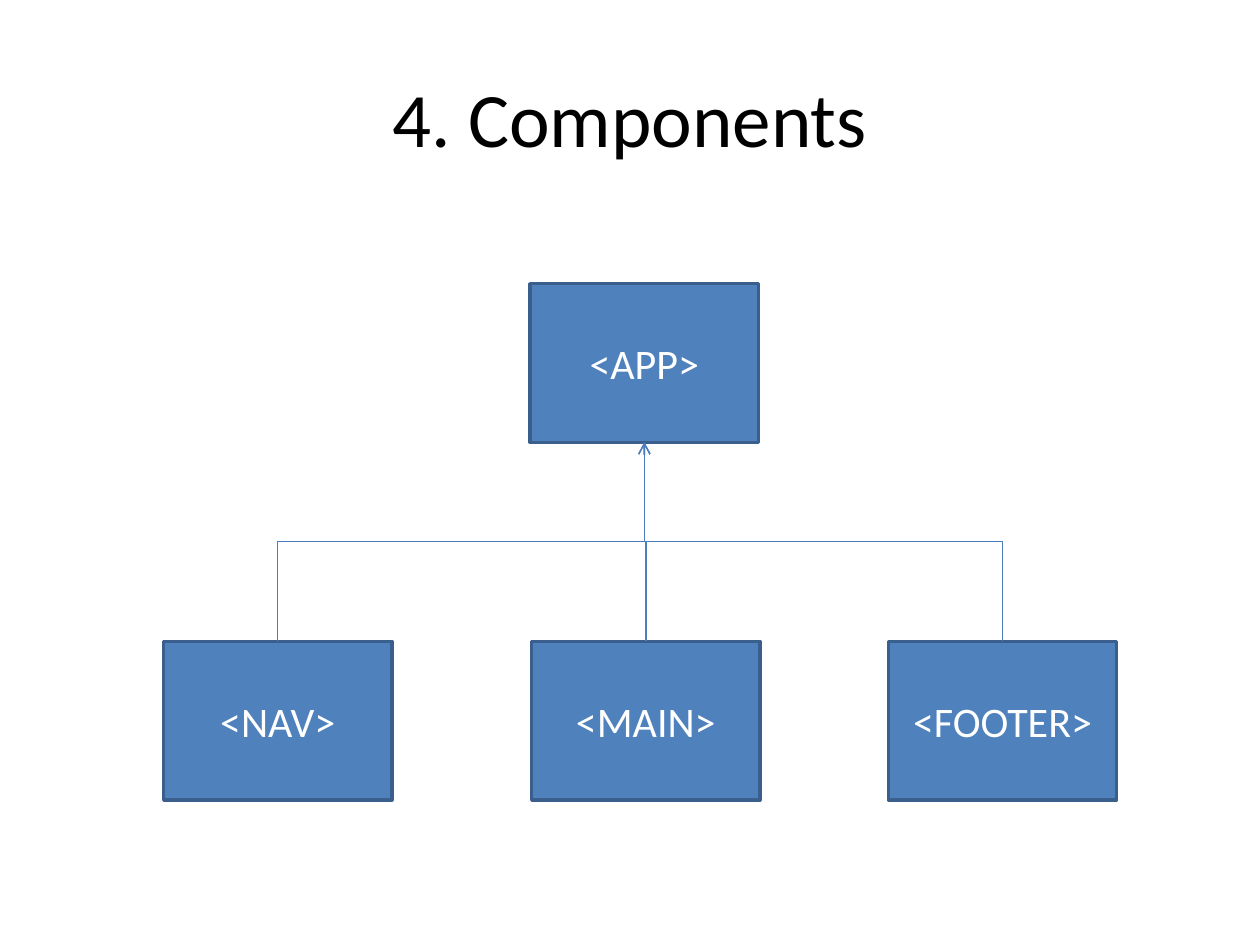
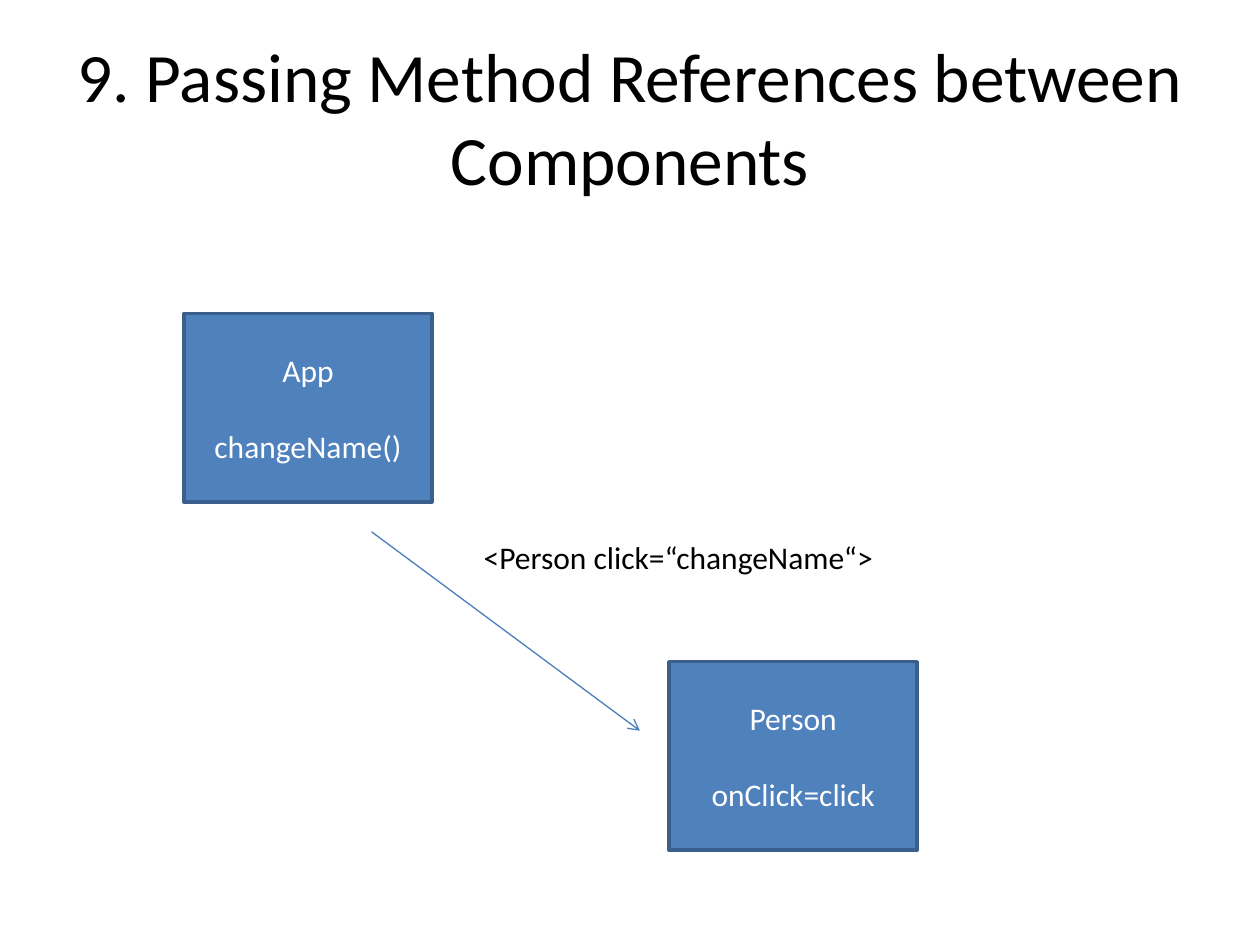
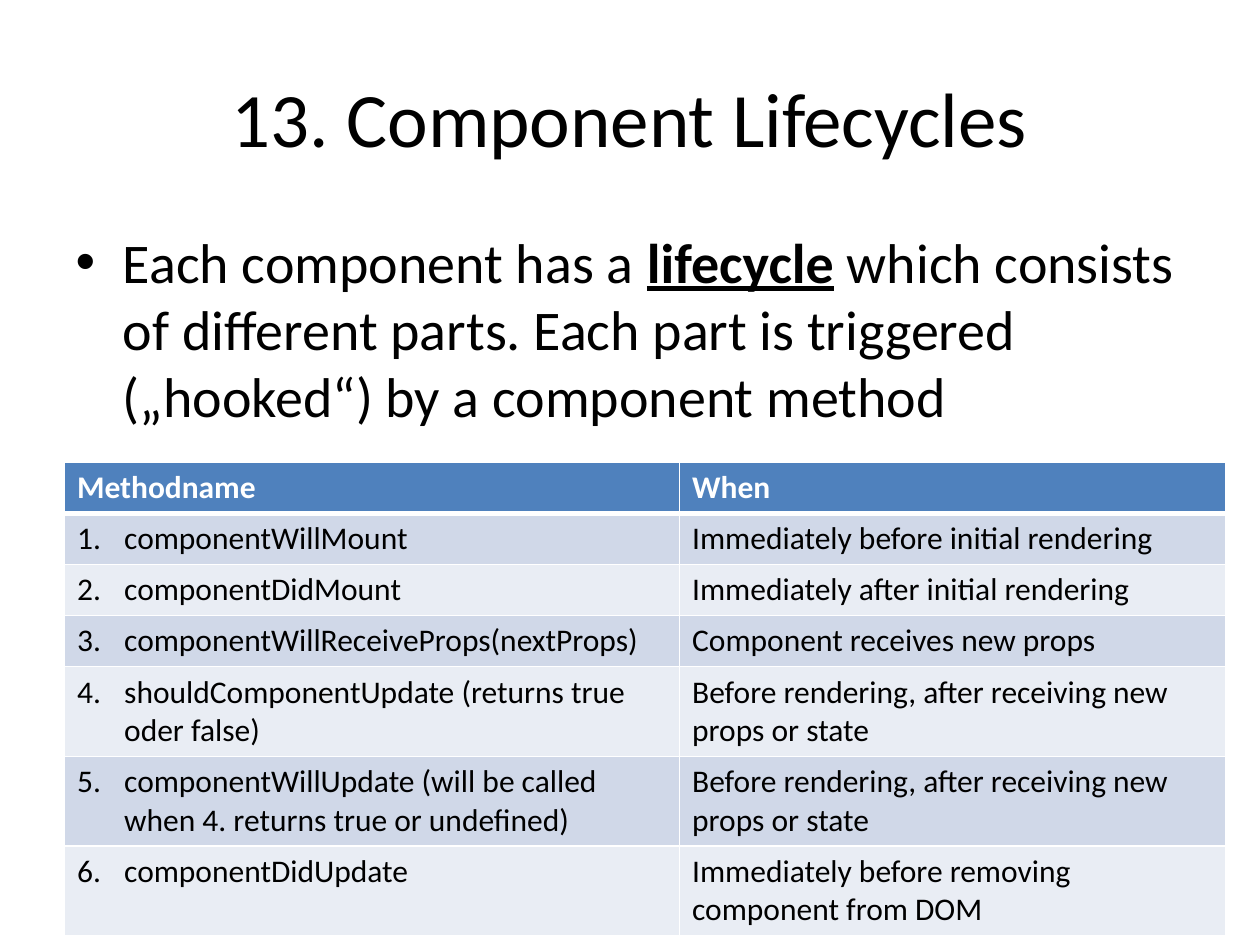
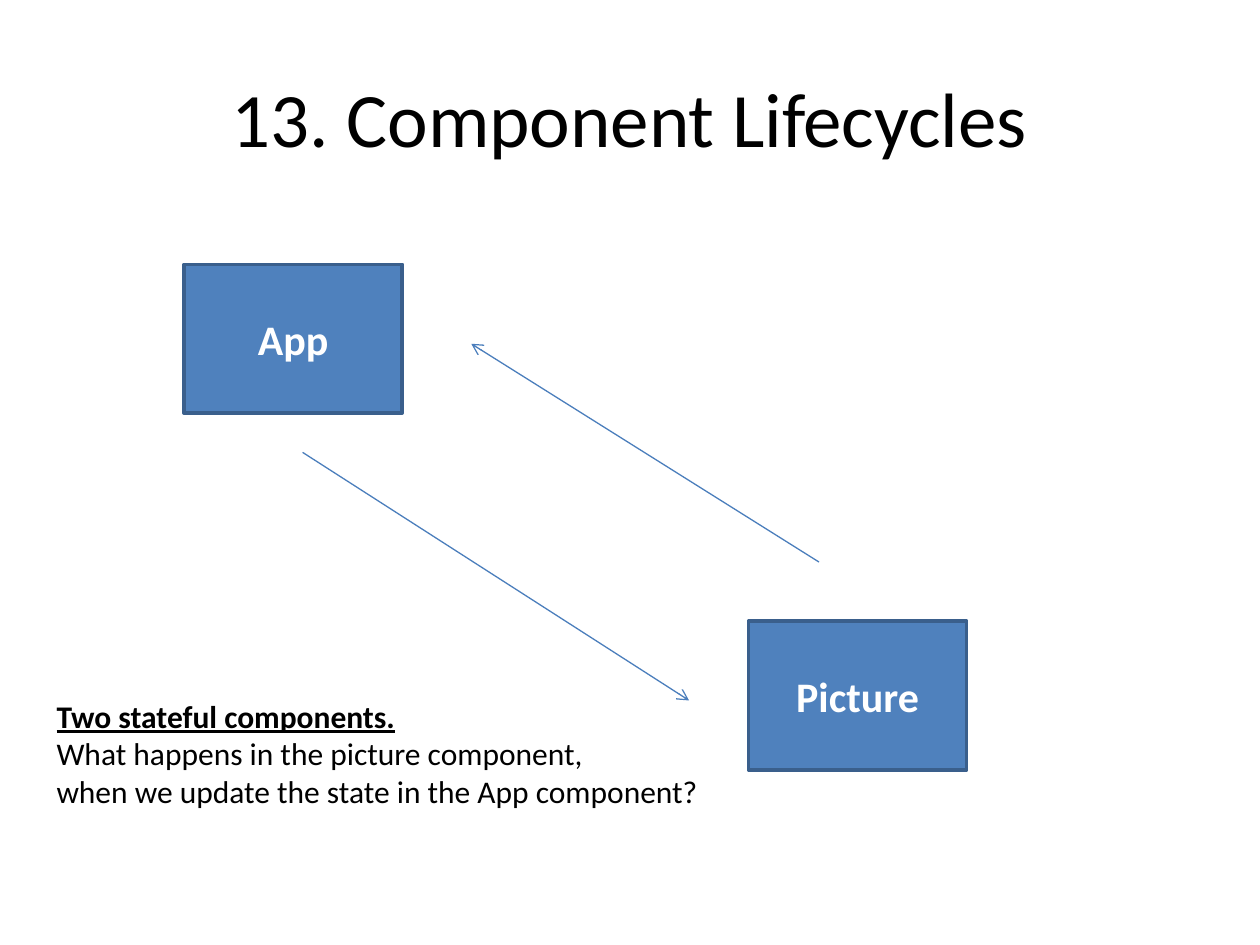
from lxml.etree import SubElement
from pptx import Presentation
from pptx.dml.color import RGBColor
from pptx.enum.shapes import MSO_CONNECTOR, MSO_SHAPE
from pptx.enum.text import MSO_ANCHOR, MSO_AUTO_SIZE, PP_ALIGN
from pptx.oxml.ns import qn
from pptx.util import Cm, Pt

# Shared look
FONT = "Calibri"
BLACK = RGBColor(0x00, 0x00, 0x00)
WHITE = RGBColor(0xFF, 0xFF, 0xFF)
BLUE = RGBColor(0x4F, 0x81, 0xBD)
BOX_EDGE = RGBColor(0x3A, 0x5F, 0x8C)
ARROW_BLUE = RGBColor(0x4B, 0x7E, 0xBC)
ROW_FILLS = (RGBColor(0xE9, 0xED, 0xF4), RGBColor(0xD0, 0xD8, 0xE8))
TITLE_AREA = (1.27, 0.76, 22.86, 3.18)
TITLE_AND_CONTENT, TITLE_ONLY = 1, 5
HANGING = Cm(0.95)
EMPHASIS = {"bold": True, "underline": True}

# Content: places in centimetres, text as paragraphs of (text, format) runs
TREE_SIZE = (4.6, 3.2)
TREE_ROOT = ("<APP>", 10.69, 5.72)
TREE_CHILDREN = [("<NAV>", 3.3), ("<MAIN>", 10.72), ("<FOOTER>", 17.91)]
TREE_CHILD_TOP = 12.93

METHOD_SIZE = (5, 3.8)
METHOD_BOXES = [
    (("App", "changeName()"), 3.71, 6.32),
    (("Person", "onClick=click"), 13.49, 13.34),
]
METHOD_ARROW = (7.49, 10.72, 12.9, 14.73)
METHOD_LABEL = [[("<Person click=“changeName“>", {})]]

LIFECYCLE_INTRO = [[
    ("Each component has a ", {}),
    ("lifecycle", EMPHASIS),
    (" which consists of different parts. Each part is triggered "
     "(„hooked“) by a component method", {}),
]]
LIFECYCLE_COLUMNS = (12.4, 11)
LIFECYCLE_ROW_HEIGHT = 1.03
LIFECYCLE_ROWS = [
    ("Methodname", "When"),
    ("componentWillMount", "Immediately before initial rendering"),
    ("componentDidMount", "Immediately after initial rendering"),
    ("componentWillReceiveProps(nextProps)", "Component receives new props"),
    ("shouldComponentUpdate (returns true oder false)",
     "Before rendering, after receiving new props or state"),
    ("componentWillUpdate (will be called when 4. returns true or undefined)",
     "Before rendering, after receiving new props or state"),
    ("componentDidUpdate", "Immediately before removing component from DOM"),
]

STATE_SIZE = (4.4, 3)
STATE_BOXES = [("App", 3.71, 5.33), ("Picture", 15.09, 12.52)]
STATE_ARROWS = [(6.1, 9.12, 13.89, 14.12), (16.51, 11.33, 9.5, 6.93)]
STATE_QUESTION = [
    [("Two stateful components.", EMPHASIS)],
    [("What happens in the picture component,", {})],
    [("when we update the state in the App component?", {})],
]


def write(frame, paragraphs, size, color=BLACK, align=None, gap=0):
    """Fill a text frame; gap is the space before each later paragraph."""
    for index, runs in enumerate(paragraphs):
        paragraph = frame.add_paragraph() if index else frame.paragraphs[0]
        if align is not None:
            paragraph.alignment = align
        if index and gap:
            paragraph.space_before = Pt(gap)
        for text, extra in runs:
            run = paragraph.add_run()
            run.text = text
            run.font.color.rgb = color
            for name, value in {"name": FONT, "size": Pt(size), **extra}.items():
                setattr(run.font, name, value)


def place(shape, area):
    for name, value in zip(("left", "top", "width", "height"), area):
        setattr(shape, name, Cm(value))


def add_slide(presentation, title, layout=TITLE_ONLY, size=44):
    slide = presentation.slides.add_slide(presentation.slide_layouts[layout])
    place(slide.shapes.title, TITLE_AREA)
    frame = slide.shapes.title.text_frame
    frame.auto_size = MSO_AUTO_SIZE.NONE
    frame.vertical_anchor = MSO_ANCHOR.MIDDLE
    write(frame, [[(title, {})]], size, align=PP_ALIGN.CENTER)
    return slide


def add_box(slide, lines, left, top, box_size, size, **font):
    area = map(Cm, (left, top, *box_size))
    box = slide.shapes.add_shape(MSO_SHAPE.RECTANGLE, *area)
    box.shadow.inherit = False
    box.fill.solid()
    box.fill.fore_color.rgb = BLUE
    box.line.color.rgb = BOX_EDGE
    box.line.width = Pt(2)
    box.text_frame.vertical_anchor = MSO_ANCHOR.MIDDLE
    write(box.text_frame, [[(line, font)] for line in lines], size, WHITE,
          PP_ALIGN.CENTER, gap=22)
    return box


def add_arrow(slide, ends, kind=MSO_CONNECTOR.STRAIGHT):
    arrow = slide.shapes.add_connector(kind, *ends)
    arrow.line.color.rgb = ARROW_BLUE
    arrow.line.width = Pt(0.75)
    SubElement(arrow.line._get_or_add_ln(), qn("a:tailEnd"), type="arrow")
    SubElement(arrow._element.spPr, qn("a:effectLst"))
    return arrow


def join_to_parent(slide, child, parent):
    """Elbow arrow from the top of the child up to the bottom of the parent."""
    start_x, start_y = child.left + child.width // 2, child.top
    end_x, end_y = parent.left + parent.width // 2, parent.top + parent.height
    arrow = add_arrow(slide, (start_x, start_y, end_x, end_y), MSO_CONNECTOR.ELBOW)
    arrow.begin_connect(child, 0)
    arrow.end_connect(parent, 2)
    # A quarter turn makes the elbow leave vertically
    rise, run = start_y - end_y, abs(end_x - start_x)
    arrow.left = (start_x + end_x - rise) // 2
    arrow.top = (start_y + end_y - run) // 2
    arrow.width, arrow.height = rise, run
    rightward = start_x < end_x
    turn = {"rot": "5400000" if rightward else "16200000",
            "flipH": "1" if rightward else "0", "flipV": "1"}
    for name, value in turn.items():
        arrow._element.spPr.xfrm.set(name, value)


def add_label(slide, paragraphs, area):
    label = slide.shapes.add_textbox(*map(Cm, area))
    label.text_frame.word_wrap = False
    label.text_frame.auto_size = MSO_AUTO_SIZE.SHAPE_TO_FIT_TEXT
    write(label.text_frame, paragraphs, 18)


def set_borders(cell, bottom_width):
    properties = cell._tc.get_or_add_tcPr()
    for index, side in enumerate("LRTB"):
        width = bottom_width if side == "B" else 1
        line = SubElement(properties, qn(f"a:ln{side}"), w=str(Pt(width)))
        fill = SubElement(line, qn("a:solidFill"))
        SubElement(fill, qn("a:srgbClr"), val=str(WHITE))
        properties.insert(index, line)


def number_paragraph(paragraph, number):
    properties = paragraph._p.get_or_add_pPr()
    properties.set("marL", str(HANGING))
    properties.set("indent", str(-HANGING))
    SubElement(properties, qn("a:buFont"), typeface="+mj-lt")
    SubElement(properties, qn("a:buAutoNum"), type="arabicPeriod", startAt=str(number))


def add_lifecycle_table(slide):
    area = (1.3, 9.32, sum(LIFECYCLE_COLUMNS), LIFECYCLE_ROW_HEIGHT * len(LIFECYCLE_ROWS))
    table = slide.shapes.add_table(
        len(LIFECYCLE_ROWS), len(LIFECYCLE_COLUMNS), *map(Cm, area)).table
    for column, width in zip(table.columns, LIFECYCLE_COLUMNS):
        column.width = Cm(width)
    for row_index, texts in enumerate(LIFECYCLE_ROWS):
        header = row_index == 0
        table.rows[row_index].height = Cm(LIFECYCLE_ROW_HEIGHT)
        for column_index, text in enumerate(texts):
            cell = table.cell(row_index, column_index)
            cell.fill.solid()
            cell.fill.fore_color.rgb = BLUE if header else ROW_FILLS[row_index % 2]
            set_borders(cell, 3 if header else 1)
            write(cell.text_frame, [[(text, {"bold": header})]], 18,
                  WHITE if header else BLACK)
            if column_index == 0 and not header:
                number_paragraph(cell.text_frame.paragraphs[0], row_index)


def main():
    presentation = Presentation()
    presentation.slide_width, presentation.slide_height = Cm(25.4), Cm(19.05)

    # Component tree
    slide = add_slide(presentation, "4. Components")
    name, left, top = TREE_ROOT
    root = add_box(slide, [name], left, top, TREE_SIZE, 24)
    children = [add_box(slide, [name], left, TREE_CHILD_TOP, TREE_SIZE, 24)
                for name, left in TREE_CHILDREN]
    for child in children:
        join_to_parent(slide, child, root)

    # Method reference
    slide = add_slide(presentation, "9. Passing Method References between Components",
                      size=39.6)
    for lines, left, top in METHOD_BOXES:
        add_box(slide, lines, left, top, METHOD_SIZE, 18)
    add_arrow(slide, map(Cm, METHOD_ARROW))
    add_label(slide, METHOD_LABEL, (9.5, 10.72, 8.46, 1.02))

    # Lifecycle table
    slide = add_slide(presentation, "13. Component Lifecycles", TITLE_AND_CONTENT)
    body = slide.placeholders[1]
    place(body, (1.27, 4.45, 22.86, 4.47))
    body.text_frame.auto_size = MSO_AUTO_SIZE.NONE
    write(body.text_frame, LIFECYCLE_INTRO, 32)
    add_lifecycle_table(slide)

    # Two stateful components
    slide = add_slide(presentation, "13. Component Lifecycles")
    for name, left, top in STATE_BOXES:
        add_box(slide, [name], left, top, STATE_SIZE, 24, bold=True)
    for ends in STATE_ARROWS:
        add_arrow(slide, map(Cm, ends))
    add_label(slide, STATE_QUESTION, (0.89, 13.92, 13.61, 2.57))

    presentation.save("out.pptx")


if __name__ == "__main__":
    main()
